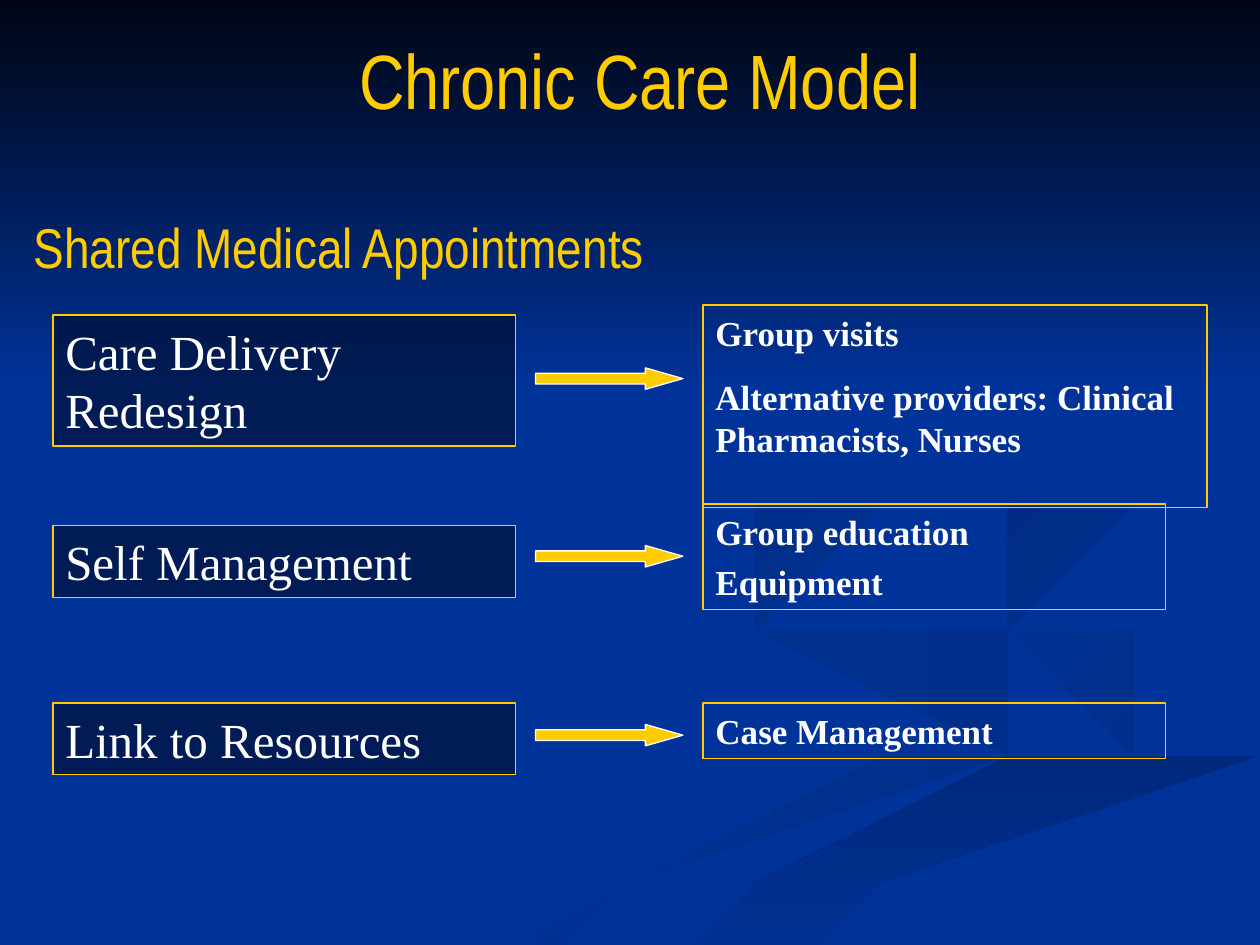
import pptx
import pptx.dml.color
import pptx.enum.shapes
import pptx.enum.text
import pptx.util
from lxml import etree
from pptx.util import Inches

NAVY, BLUE, GOLD, WHITE = "000514", "003399", "FFCC00", "FFFFFF"
SHADE = "002E8A"
RECTANGLE = pptx.enum.shapes.MSO_SHAPE.RECTANGLE
RIGHT_ARROW = pptx.enum.shapes.MSO_SHAPE.RIGHT_ARROW

# Background ribbons: first colour, last colour, angle, outline in inches
RIBBONS = [
    (SHADE, BLUE, 180, [
        (7.8, 5.5), (6.4, 5.1), (5.75, 4.6), (5.9, 4.9), (7.5, 5.4),
        (7.85, 5.7), (7.3, 6), (5, 6.6), (3, 7.5), (3.6, 7.5),
        (5, 6.9), (7.8, 6), (8, 5.8)]),
    (SHADE, BLUE, 225, [
        (9.4, 5.7), (9, 5.4), (7.6, 5), (7.25, 4.65), (7.6, 5.1),
        (8.9, 5.5), (9.2, 5.8), (8.95, 6.05), (9.4, 5.85)]),
    ("00297C", BLUE, 90, [
        (5, 7.5), (5.7, 7.5), (7.2, 6.8), (10, 6.1), (10, 5.8),
        (7.6, 6.5), (6, 7.05)]),
    (BLUE, "002C85", 225, [
        (7.8, 4.6), (8.25, 4.95), (8.05, 4.7), (8.6, 4.4), (10, 4.2),
        (10, 4), (8.2, 4.3)]),
    (BLUE, "002B81", 225, [
        (6.8, 4.3), (8.5, 3.9), (8.95, 3.4), (8.6, 2.9), (7.6, 2.3),
        (8.6, 2.9), (8.9, 3.4), (8.4, 3.8), (6.5, 4.2), (5.8, 4.6),
        (6.2, 5), (5.95, 4.6)]),
]

LEFT_COLUMN, ARROW_COLUMN, RIGHT_COLUMN = 0.42, 4.25, 5.58
BOX_WIDTH = 3.67

# Rows: concept, its top and height, arrow top, actions, their top, width,
# height and the gap between paragraphs in points
ROWS = [
    ("Care Delivery Redesign", 2.5, 1.04, 2.92,
     ["Group visits", "Alternative providers: Clinical Pharmacists, Nurses"],
     2.42, 4, 1.61, 12.5),
    ("Self Management", 4.17, 0.57, 4.33,
     ["Group education", "Equipment"], 4, BOX_WIDTH, 0.84, 5),
    ("Link to Resources", 5.58, 0.57, 5.75,
     ["Case Management"], 5.58, BOX_WIDTH, 0.44, 5),
]


def rgb(value):
    return pptx.dml.color.RGBColor.from_string(value)


def fill_gradient(shape, first, last, angle):
    shape.shadow.inherit = False
    shape.line.fill.background()
    shape.fill.gradient()
    shape.fill.gradient_angle = -angle % 360
    for stop, color in zip(shape.fill.gradient_stops, (first, last)):
        stop.color.rgb = rgb(color)


def add_ribbon(slide, first, last, angle, points):
    builder = slide.shapes.build_freeform(*points[0], scale=Inches(1))
    builder.add_line_segments(points[1:], close=True)
    fill_gradient(builder.convert_to_shape(), first, last, angle)


def write_text(frame, lines, size, font, color, gap=0, bold=False):
    frame.word_wrap = True
    for index, line in enumerate(lines):
        paragraph = frame.add_paragraph() if index else frame.paragraphs[0]
        paragraph.alignment = pptx.enum.text.PP_ALIGN.LEFT
        if index:
            paragraph.space_before = pptx.util.Pt(gap)
        run = paragraph.add_run()
        run.text = line
        run.font.size = pptx.util.Pt(size)
        run.font.name = font
        run.font.bold = bold
        run.font.color.rgb = rgb(color)


def add_heading(slide, text, left, top, width, size):
    heading = slide.shapes.add_textbox(
        Inches(left), Inches(top), Inches(width), Inches(1.25))
    write_text(heading.text_frame, [text], size, "Arial Narrow", GOLD)
    heading.text_frame.vertical_anchor = pptx.enum.text.MSO_ANCHOR.MIDDLE
    return heading


def add_outlined(slide, kind, left, top, width, height, line, fill=None):
    shape = slide.shapes.add_shape(
        kind, Inches(left), Inches(top), Inches(width), Inches(height))
    shape.shadow.inherit = False
    shape.line.color.rgb = rgb(line)
    shape.line.width = pptx.util.Pt(0.75)
    if fill:
        shape.fill.solid()
        shape.fill.fore_color.rgb = rgb(fill)
    else:
        shape.fill.background()
    return shape


def add_box(slide, lines, left, top, width, height, size, fill=None, **style):
    box = add_outlined(slide, RECTANGLE, left, top, width, height, GOLD, fill)
    if fill:
        # Half-transparent fill; the first colour in the shape is its fill
        color = box.element.spPr.find(".//" + pptx.oxml.ns.qn("a:srgbClr"))
        etree.SubElement(color, pptx.oxml.ns.qn("a:alpha"), val="50000")
    frame = box.text_frame
    frame.vertical_anchor = pptx.enum.text.MSO_ANCHOR.TOP
    frame.auto_size = pptx.enum.text.MSO_AUTO_SIZE.SHAPE_TO_FIT_TEXT
    write_text(frame, lines, size, "Times New Roman", WHITE, **style)


def add_arrow(slide, top):
    arrow = add_outlined(slide, RIGHT_ARROW, ARROW_COLUMN, top, 1.17, 0.17,
                         WHITE, GOLD)
    arrow.adjustments[1] = 1.75


def main():
    deck = pptx.Presentation()
    deck.slide_width, deck.slide_height = Inches(10), Inches(7.5)
    slide = deck.slides.add_slide(deck.slide_layouts[6])

    # Background with a dark band fading down from the top edge
    slide.background.fill.solid()
    slide.background.fill.fore_color.rgb = rgb(BLUE)
    for ribbon in RIBBONS:
        add_ribbon(slide, *ribbon)
    band = slide.shapes.add_shape(
        RECTANGLE, 0, 0, deck.slide_width, Inches(3.08))
    fill_gradient(band, NAVY, BLUE, 90)

    # Headings
    title = add_heading(slide, "Chronic Care Model", 0.58, 0, 9, 44)
    title.text_frame.paragraphs[0].alignment = pptx.enum.text.PP_ALIGN.CENTER
    add_heading(slide, "Shared Medical Appointments", 0.17, 1.33, 5.17, 32)

    # Concepts, each with an arrow to its actions
    for (concept, top, height, arrow_top,
         actions, actions_top, actions_width, actions_height, gap) in ROWS:
        add_box(slide, [concept], LEFT_COLUMN, top, BOX_WIDTH, height, 28, NAVY)
        add_box(slide, actions, RIGHT_COLUMN, actions_top, actions_width,
                actions_height, 20, gap=gap, bold=True)
        add_arrow(slide, arrow_top)

    deck.save("out.pptx")


if __name__ == "__main__":
    main()
